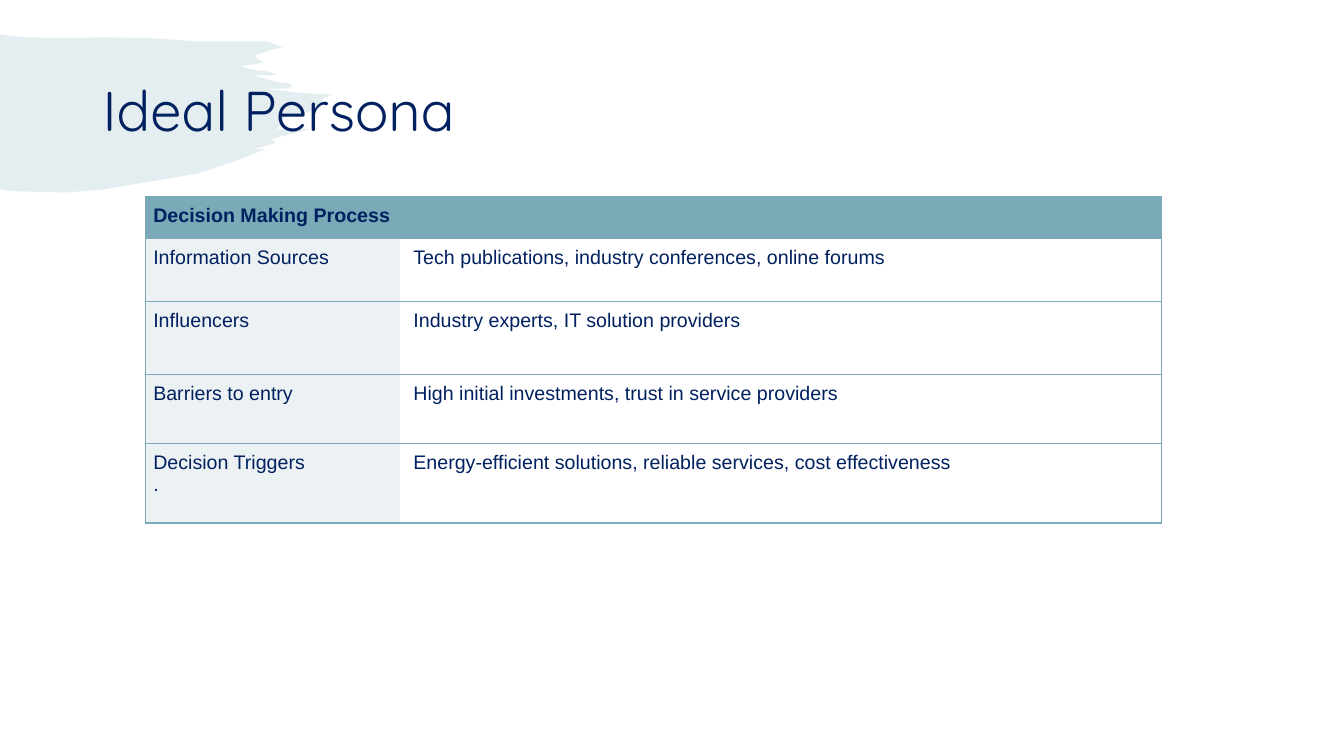
from lxml.etree import SubElement
from pptx import Presentation
from pptx.dml.color import RGBColor
from pptx.enum.text import MSO_ANCHOR
from pptx.oxml import parse_xml
from pptx.oxml.ns import nsdecls, qn
from pptx.util import Inches, Pt

NAVY = RGBColor(0x00, 0x20, 0x60)
TEAL = RGBColor(0x7A, 0xA9, 0xB7)
PALE = RGBColor(0xEC, 0xF1, 0xF3)
WHITE = RGBColor(0xFF, 0xFF, 0xFF)

BRUSH = [
    (0, 0), (0.06, 0.01), (0.25, 0.03), (0.66, 0.04), (1.02, 0.03), (1.51, 0.04),
    (1.94, 0.07), (2.48, 0.07), (2.66, 0.07), (2.8, 0.13), (2.71, 0.15), (2.55, 0.2),
    (2.53, 0.23), (2.56, 0.25), (2.62, 0.28), (2.38, 0.32), (2.46, 0.34), (2.56, 0.36),
    (2.66, 0.37), (2.75, 0.4), (2.51, 0.41), (2.63, 0.44), (2.73, 0.47), (2.8, 0.48),
    (2.88, 0.49), (2.9, 0.51), (2.87, 0.54), (2.84, 0.54), (2.63, 0.54), (2.95, 0.58),
    (3.3, 0.6), (3.21, 0.63), (3.18, 0.72), (3.07, 0.77), (3, 0.79), (2.83, 0.82),
    (2.8, 0.86), (2.78, 0.91), (2.74, 0.94), (3.08, 0.94), (2.69, 1.04), (2.73, 1.08),
    (2.52, 1.14), (2.63, 1.14), (2.33, 1.26), (1.97, 1.38), (1.02, 1.54), (0.65, 1.57),
    (0.23, 1.56), (0.07, 1.55), (0, 1.54),
]

HEADING = "Decision Making Process"
ROWS = [
    (["Information Sources"], "Tech publications, industry conferences, online forums"),
    (["Influencers"], "Industry experts, IT solution providers"),
    (["Barriers to entry"], "High initial investments, trust in service providers"),
    (["Decision Triggers", "."],
     "Energy-efficient solutions, reliable services, cost effectiveness"),
]
COL_WIDTHS = [2.53, 7.55]
ROW_HEIGHTS = [0.42, 0.62, 0.73, 0.68, 0.79]


def add_brush(slide, left, top):
    """Draw the translucent brush stroke from its top-left corner."""
    points = [(Inches(left + x), Inches(top + y)) for x, y in BRUSH]
    builder = slide.shapes.build_freeform(*points[0])
    builder.add_line_segments(points[1:], close=True)
    sp = builder.convert_to_shape()
    sp.shadow.inherit = False
    sp.fill.solid()
    sp.fill.fore_color.rgb = TEAL
    sp.line.fill.background()
    color = sp.fill._xPr.find(qn("a:solidFill"))[0]
    SubElement(color, qn("a:alpha"), val="20000")


def add_title(slide, left, top, width, height, text):
    """Write the slide title, centred vertically in its box."""
    box = slide.shapes.add_textbox(*map(Inches, (left, top, width, height)))
    tf = box.text_frame
    tf.word_wrap = True
    tf.vertical_anchor = MSO_ANCHOR.MIDDLE
    p = tf.paragraphs[0]
    p.text = text
    p.line_spacing = 0.9
    p.font.name, p.font.size = "Quicksand", Pt(40)
    p.font.color.rgb = NAVY


def set_borders(cell, sides):
    """Draw teal lines on the named sides and clear the others."""
    tcPr = cell._tc.get_or_add_tcPr()
    for i, side in enumerate("LRTB"):
        paint = f'<a:solidFill><a:srgbClr val="{TEAL}"/></a:solidFill>'
        if side not in sides:
            paint = "<a:noFill/>"
        tag = f"a:ln{side}"
        tcPr.insert(i, parse_xml(f'<{tag} {nsdecls("a")} w="12700">{paint}</{tag}>'))


def fill_cell(cell, lines, fill, sides, indent=0.08, bold=False):
    """Set the text, fill, margins and borders of one cell."""
    cell.margin_left = Inches(indent)
    cell.margin_right = cell.margin_top = cell.margin_bottom = Inches(0.08)
    cell.fill.solid()
    cell.fill.fore_color.rgb = fill
    cell.text = "\n".join(lines)
    for p in cell.text_frame.paragraphs:
        p.font.name, p.font.size, p.font.bold = "Arial", Pt(14), bold
        p.font.color.rgb = NAVY
    set_borders(cell, sides)


def add_process_table(slide, left, top):
    """Build the decision table with a merged heading row."""
    size = sum(COL_WIDTHS), sum(ROW_HEIGHTS)
    frame = slide.shapes.add_table(len(ROW_HEIGHTS), len(COL_WIDTHS),
                                   *map(Inches, (left, top, *size)))
    table = frame.table
    for col, width in zip(table.columns, COL_WIDTHS):
        col.width = Inches(width)
    for row, height in zip(table.rows, ROW_HEIGHTS):
        row.height = Inches(height)
    table.cell(0, 0).merge(table.cell(0, 1))
    fill_cell(table.cell(0, 0), [HEADING], TEAL, "LRTB", bold=True)
    fill_cell(table.cell(0, 1), [], TEAL, "RTB")
    for i, (labels, detail) in enumerate(ROWS, 1):
        fill_cell(table.cell(i, 0), labels, PALE, "LTB")
        fill_cell(table.cell(i, 1), [detail], WHITE, "RTB", indent=0.13)


def main():
    """Build and save the slide."""
    prs = Presentation()
    prs.slide_width, prs.slide_height = Inches(13.33), Inches(7.5)
    slide = prs.slides.add_slide(prs.slide_layouts[6])
    add_brush(slide, 0, 0.34)
    add_process_table(slide, 1.44, 1.95)
    add_title(slide, 0.92, 0.4, 11.5, 1.45, "Ideal Persona")
    prs.save("out.pptx")


if __name__ == "__main__":
    main()
